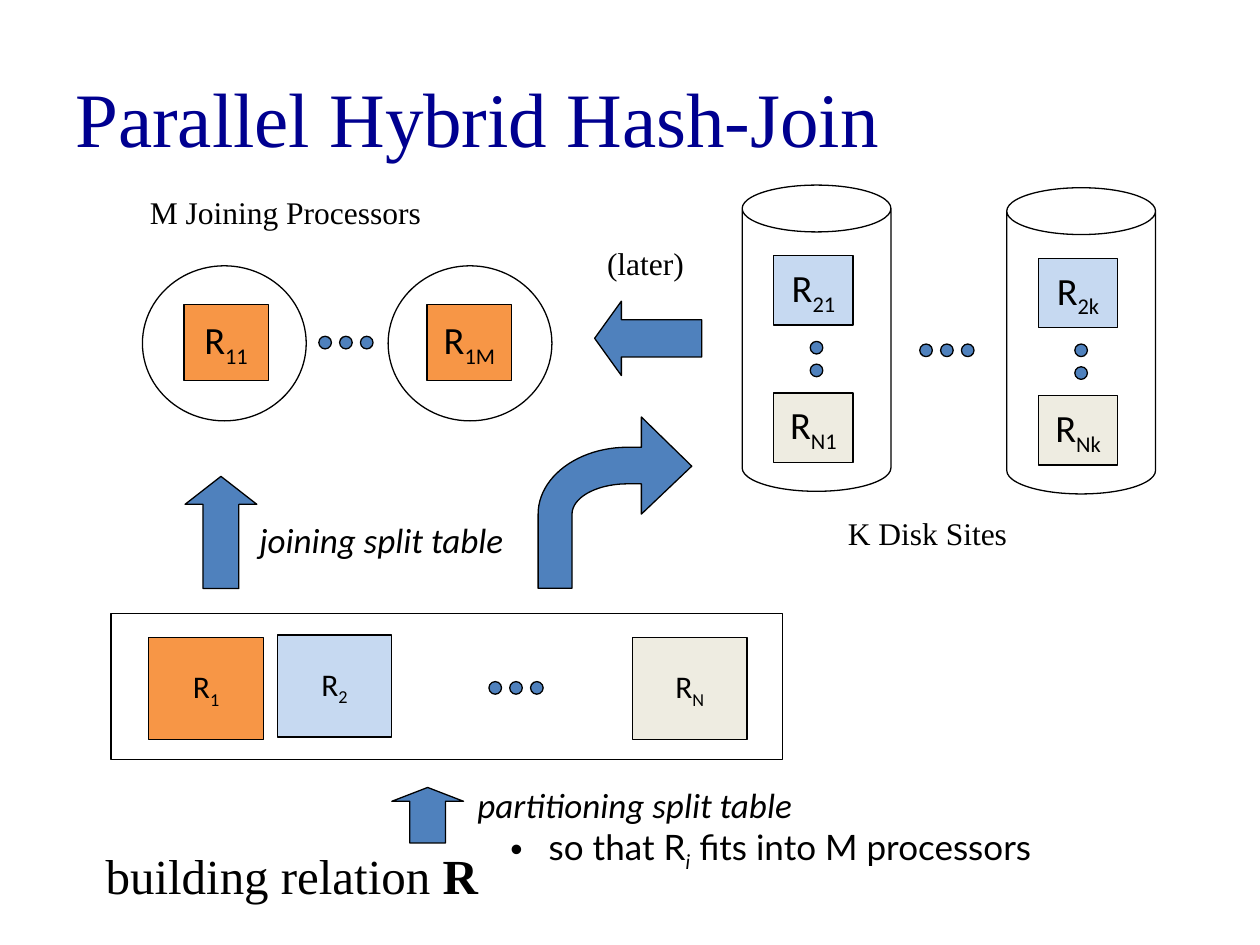
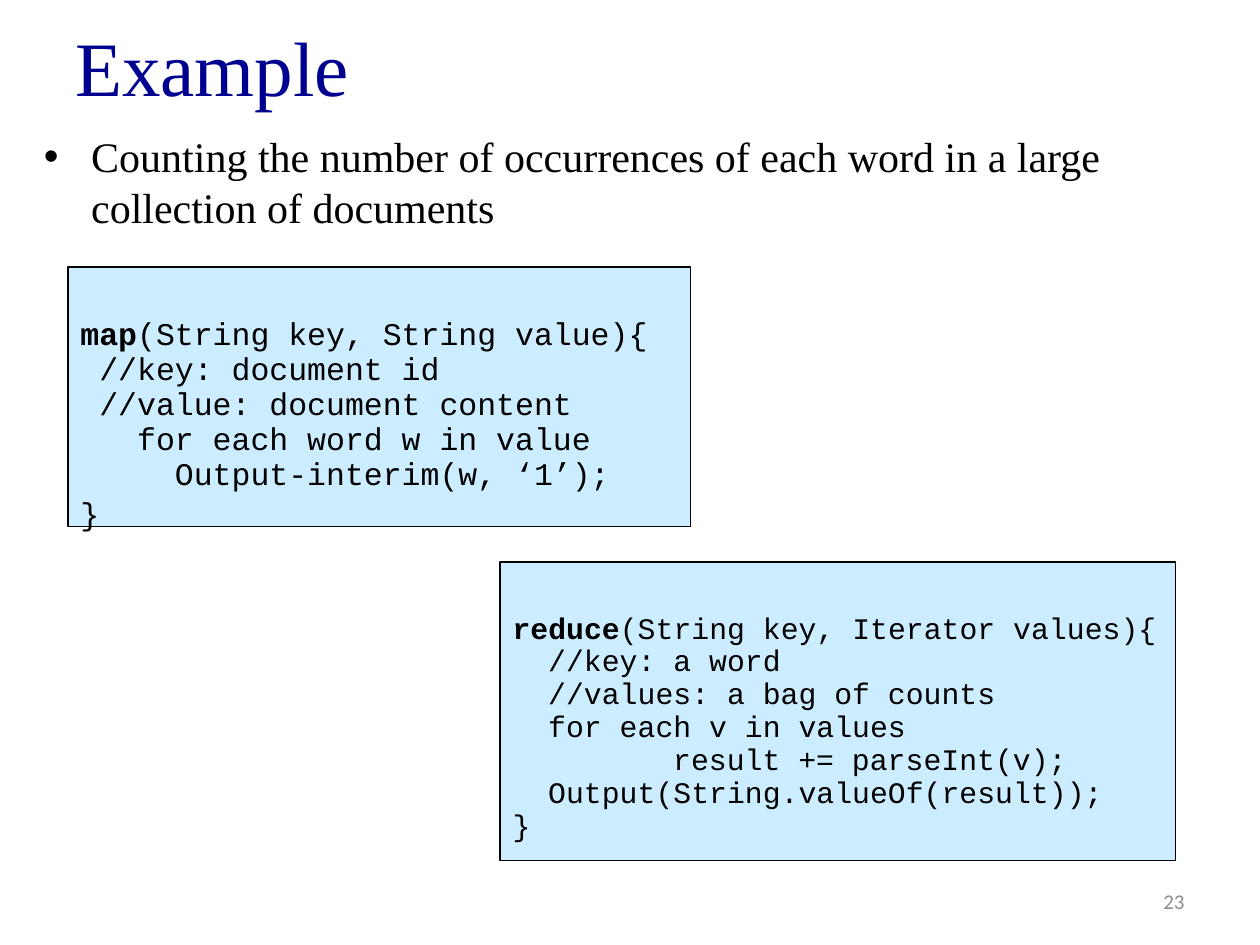
from dataclasses import dataclass
from math import cos, pi, sin

from lxml.etree import SubElement
from pptx import Presentation
from pptx.dml.color import RGBColor as Color
from pptx.enum.shapes import MSO_SHAPE as Kind
from pptx.enum.text import MSO_ANCHOR as Anchor, PP_ALIGN as Align
from pptx.oxml.ns import qn
from pptx.util import Pt


@dataclass(frozen=True)
class Theme:
    serif: str = "Times New Roman"
    sans: str = "Calibri"
    alt: str = "Lato"
    mono: str = "Courier New"
    ink: str = "000000"
    navy: str = "000090"
    gray: str = "8C8C8C"
    blue: str = "4F81BD"
    orange: str = "F79646"
    pale: str = "C6D9F1"
    sand: str = "EEECE1"
    sky: str = "CCECFF"
    title: int = 44
    large: int = 28
    body: int = 24
    cell: int = 22
    note: int = 20
    label: int = 18
    foot: int = 12
    edge: float = 0.75
    dot: float = 7.2


T = Theme()


def put(para, text, font, size, style="", color=T.ink):
    run = para.add_run()
    run.text = text
    face = run.font
    face.name, face.size = font, Pt(size)
    face.bold, face.italic = "b" in style, "i" in style
    face.color.rgb = Color.from_string(color)
    if "s" in style:
        face._element.set("baseline", "-25000")


def indent(para, left, first=0, mark=None):
    props = para._p.get_or_add_pPr()
    props.set("marL", str(Pt(left)))
    props.set("indent", str(Pt(first)))
    if mark:
        SubElement(props, qn("a:buFont")).set("typeface", "Arial")
        SubElement(props, qn("a:buChar")).set("char", mark)


def area(slide, box, wrap=False, anchor=Anchor.TOP):
    frame = slide.shapes.add_textbox(*map(Pt, box)).text_frame
    frame.word_wrap = wrap
    frame.vertical_anchor = anchor
    return frame


def title(slide, text, box):
    frame = area(slide, box, True, Anchor.MIDDLE)
    put(frame.paragraphs[0], text, T.serif, T.title, color=T.navy)


def label(slide, box, *runs, font=T.serif, size=T.label):
    frame = area(slide, box)
    for text, style in runs:
        put(frame.paragraphs[0], text, font, size, style)
    return frame


def paint(item, fill=None):
    item.shadow.inherit = False
    if fill:
        item.fill.solid()
        item.fill.fore_color.rgb = Color.from_string(fill)
    else:
        item.fill.background()
    item.line.color.rgb = Color.from_string(T.ink)
    item.line.width = Pt(T.edge)
    return item


def shape(slide, kind, box, fill=None, adjust=()):
    item = slide.shapes.add_shape(kind, *map(Pt, box))
    for spot, value in enumerate(adjust):
        item.adjustments[spot] = value
    return paint(item, fill)


def cell(slide, box, sub, fill, size=T.cell):
    frame = shape(slide, Kind.RECTANGLE, box, fill).text_frame
    frame.word_wrap = False
    frame.vertical_anchor = Anchor.MIDDLE
    para = frame.paragraphs[0]
    para.alignment = Align.CENTER
    put(para, "R", T.sans, size)
    put(para, sub, T.sans, size, "s")


def dots(slide, x, y, count=3, across=11.9, down=0):
    for step in range(count):
        box = (x + step * across, y + step * down, T.dot, T.dot)
        shape(slide, Kind.OVAL, box, T.blue)


def disk(slide, x, y, site):
    shape(slide, Kind.CAN, (x, y, 85, 175), adjust=[0.315])
    rows = [("2", 40.3, T.pale), ("N", 118.8, T.sand)]
    for name, drop, fill in rows:
        cell(slide, (x + 18, y + drop, 45.4, 39.6), name + site, fill)
    dots(slide, x + 38.9, y + 89.3, 2, 0, 13)


def arc(x, y, wide, high, steps=24):
    turns = [pi / 2 * step / steps for step in range(steps + 1)]
    return [(x - wide * cos(turn), y - high * sin(turn)) for turn in turns]


def bend(slide):
    x, y, base, neck = 358.6, 293.8, 336.2, 366.5
    outer = arc(x, y, 51.1, 38.2)
    inner = arc(x, y, 31.7, 17.3)[::-1]
    head = [(neck, outer[-1][1]), (neck, 238.3), (395.3, 266.4),
            (neck, y), (neck, inner[0][1])]
    points = [(outer[0][0], base), *outer, *head, *inner,
              (inner[-1][0], base)]
    points = [(Pt(left), Pt(top)) for left, top in points]
    path = slide.shapes.build_freeform(*points[0])
    path.add_line_segments(points[1:], close=True)
    paint(path.convert_to_shape(), T.blue)


def code(slide, box, size, pitch, lines, gap=0):
    frame = shape(slide, Kind.RECTANGLE, box, T.sky).text_frame
    frame.word_wrap = True
    frame.vertical_anchor = Anchor.TOP
    frame.margin_top = Pt(28.7)
    for row, (tab, *runs) in enumerate(lines):
        para = frame.add_paragraph() if row else frame.paragraphs[0]
        para.alignment = Align.LEFT
        para.line_spacing = Pt(pitch)
        indent(para, tab * size * 0.6)
        for spot, text in enumerate(runs):
            style = "b" if len(runs) > 1 and spot == 0 else ""
            put(para, text, T.mono, size, style)
    para.space_before = Pt(gap)


def join(slide):
    title(slide, "Parallel Hybrid Hash-Join", (36, 21.6, 648, 90))

    label(slide, (78.5, 106.6, 171.4, 28.8), ("M Joining Processors", ""))
    for x, inset, sub in [(81.4, 23.7, "11"), (221.8, 22.3, "1M")]:
        cell(slide, (x + inset, 174.2, 48.2, 43.2), sub, T.orange)
        shape(slide, Kind.OVAL, (x, 151.9, 93.6, 88.6))
    dots(slide, 182.2, 192.2)

    disk(slide, 424.1, 105.8, "1")
    disk(slide, 575.3, 107.3, "k")
    dots(slide, 525.6, 196.6)
    label(slide, (477.4, 290.2, 106.6, 28.8), ("K Disk Sites", ""))

    shape(slide, Kind.RECTANGLE, (63.4, 350.6, 383.8, 83.5))
    parts = [(85, 364.3, "1", T.orange), (158.4, 362.9, "2", T.pale),
             (361.4, 364.3, "N", T.sand)]
    for x, y, sub, fill in parts:
        cell(slide, (x, y, 65.5, 58.3), sub, fill, T.label)
    dots(slide, 279.4, 389.5)

    arrows = [(Kind.UP_ARROW, (223.9, 450, 41, 31.7), 0.25),
              (Kind.UP_ARROW, (105.8, 272.2, 41, 64.1), 0.39),
              (Kind.LEFT_ARROW, (339.8, 172.1, 61.2, 42.5), 0.36)]
    for kind, box, head in arrows:
        shape(slide, kind, box, T.blue, [0.5, head])
    bend(slide)

    label(slide, (339.8, 136.1, 59, 28.8), ("(later)", ""))
    label(slide, (141.1, 293, 154.8, 31), ("joining split table", "i"),
          font=T.sans, size=T.note)
    label(slide, (53.3, 479.5, 229.7, 41),
          ("building relation ", ""), ("R", "b"), size=T.large)
    frame = label(slide, (265.7, 444.2, 339.1, 55.4),
                  ("partitioning split table", "i"),
                  font=T.sans, size=T.note)
    para = frame.add_paragraph()
    indent(para, 40.8, -22, "•")
    for text, style in [("so that R", ""), ("i", "is"),
                        (" fits into M processors", "")]:
        put(para, text, T.alt, T.note, style)


def example(slide):
    title(slide, "Example", (36, 3.6, 669.6, 67.7))
    para = area(slide, (18, 71.3, 687.6, 458), True).paragraphs[0]
    para.space_before = Pt(4.8)
    indent(para, 27, -27, "•")
    put(para, "Counting the number of occurrences of each word in a large "
        "collection of documents", T.serif, T.body)

    code(slide, (38.9, 152.6, 355.7, 148.3), 18, 20, [
        (0, "map", "(String key, String value){"),
        (1, "//key: document id"),
        (1, "//value: document content"),
        (3, "for each word w in value"),
        (5, "Output-interim(w, ‘1’);"),
        (0, "}"),
    ], gap=2.3)
    code(slide, (285.8, 321.1, 386, 170.6), 17, 18.8, [
        (0, "reduce", "(String key, Iterator values){"),
        (2, "//key: a word"),
        (2, "//values: a bag of counts"),
        (2, "for each v in values"),
        (9, "result += parseInt(v);"),
        (2, "Output(String.valueOf(result));"),
        (0, "}"),
    ])

    foot = area(slide, (516.2, 500.4, 167.8, 28.8), True, Anchor.MIDDLE)
    foot.paragraphs[0].alignment = Align.RIGHT
    put(foot.paragraphs[0], "23", T.sans, T.foot, color=T.gray)


def main():
    deck = Presentation()
    deck.slide_width, deck.slide_height = Pt(720), Pt(540)
    for build in (join, example):
        build(deck.slides.add_slide(deck.slide_layouts[6]))
    deck.save("out.pptx")


if __name__ == "__main__":
    main()
